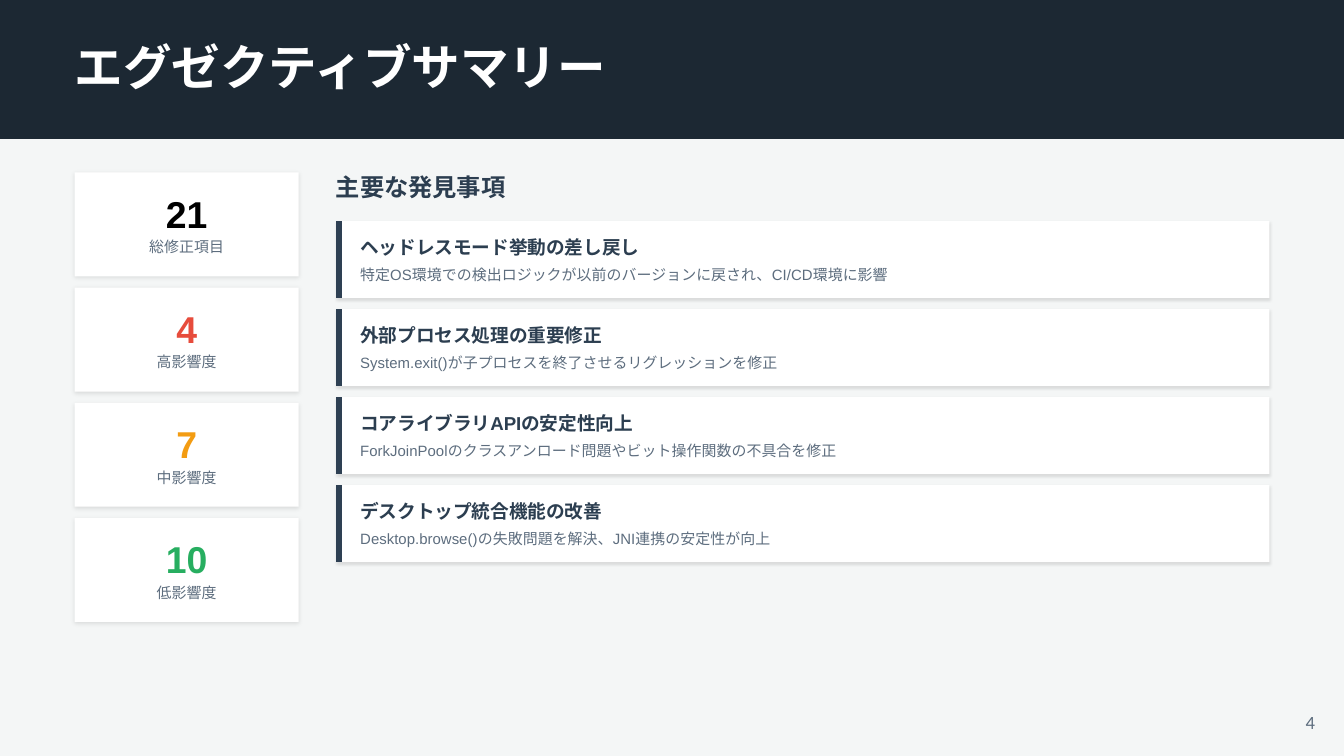
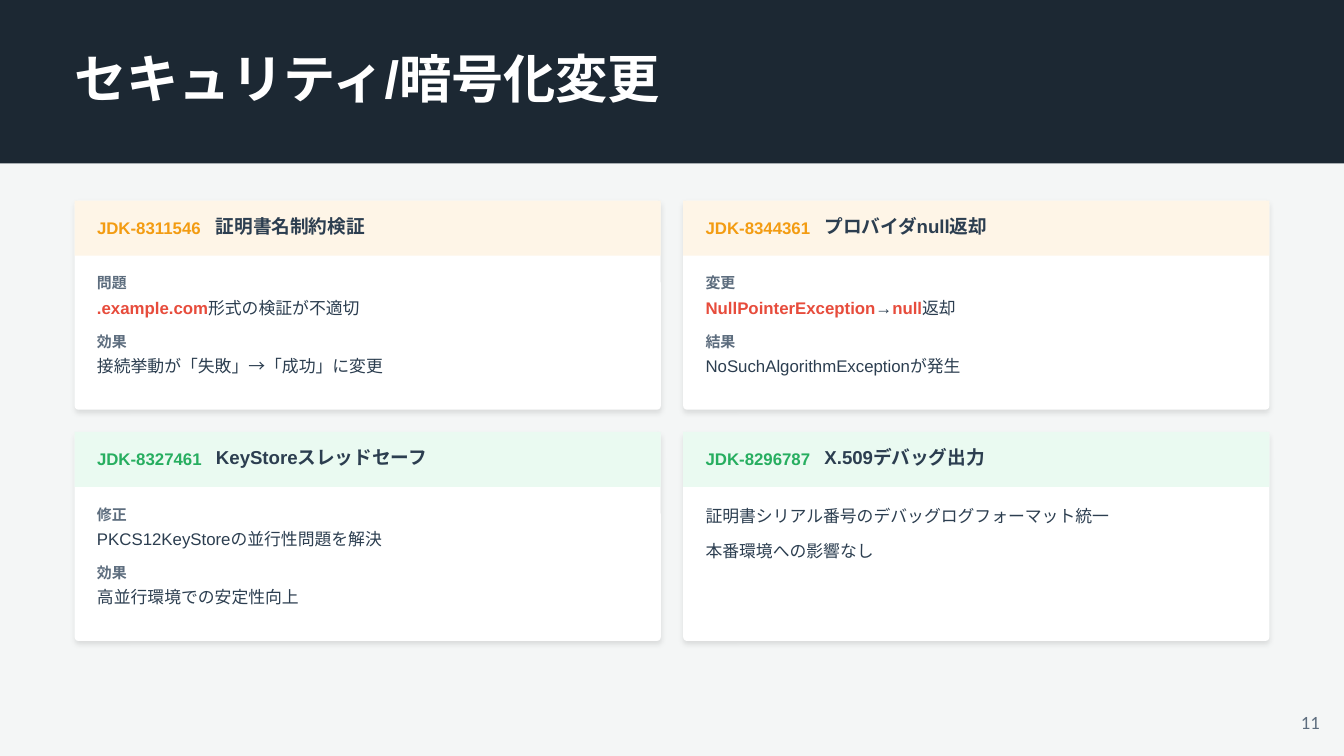
import lxml.etree
import pptx
import pptx.dml.color
import pptx.enum.lang
import pptx.enum.shapes
import pptx.enum.text
import pptx.oxml.ns
import pptx.util

Pt = pptx.util.Pt
SHAPES = pptx.enum.shapes.MSO_SHAPE
CENTER = pptx.enum.text.PP_ALIGN.CENTER

PAPER, NAVY, WHITE, BLACK = "F4F6F6", "1C2833", "FFFFFF", "000000"
INK, GRAY, ACCENT = "2C3E50", "5D6D7E", "2E4053"
RED, ORANGE, GREEN = "E74C3C", "F39C12", "27AE60"
CREAM, MINT = "FEF5E7", "EAFAF1"
MARGIN = 40


def color(value):
    return pptx.dml.color.RGBColor.from_string(value)


class Deck:
    """Holds the shared style and the slide being built."""

    def __init__(self):
        self.presentation = pptx.Presentation()
        self.presentation.slide_width = Pt(720)
        self.presentation.slide_height = Pt(405)
        self.slide = None

    def start(self, title, size, band_height, title_top, number):
        self.slide = self.presentation.slides.add_slide(self.presentation.slide_layouts[6])
        fill = self.slide.background.fill
        fill.solid()
        fill.fore_color.rgb = color(PAPER)
        self.box(0, 0, 720, band_height, NAVY)
        self.text(MARGIN, title_top, 653, size * 1.33, title, size, WHITE, True)
        page = self.text(684, 378, 36, 18, number, 10, GRAY, font="Calibri", align=CENTER)
        page.vertical_anchor = pptx.enum.text.MSO_ANCHOR.MIDDLE

    def box(self, left, top, width, height, fill, shadow=None, radius=None):
        kind = SHAPES.ROUNDED_RECTANGLE if radius else SHAPES.RECTANGLE
        shape = self.slide.shapes.add_shape(kind, Pt(left), Pt(top), Pt(width), Pt(height))
        if radius:
            shape.adjustments[0] = radius
        shape.fill.solid()
        shape.fill.fore_color.rgb = color(fill)
        shape.line.fill.background()
        shape.shadow.inherit = False
        if shadow:
            self.cast_shadow(shape, *shadow)

    def cast_shadow(self, shape, blur, distance):
        name = pptx.oxml.ns.qn
        effects = shape._element.spPr.find(name("a:effectLst"))
        outer = lxml.etree.SubElement(
            effects, name("a:outerShdw"), blurRad=str(int(Pt(blur))),
            dist=str(int(Pt(distance))), dir="5400000", algn="ctr", rotWithShape="0")
        tint = lxml.etree.SubElement(outer, name("a:srgbClr"), val=BLACK)
        lxml.etree.SubElement(tint, name("a:alpha"), val="10000")

    def bar(self, x, top, height):
        connector = self.slide.shapes.add_connector(
            pptx.enum.shapes.MSO_CONNECTOR.STRAIGHT, Pt(x), Pt(top), Pt(x), Pt(top + height))
        connector.line.color.rgb = color(ACCENT)
        connector.line.width = Pt(3)
        lxml.etree.SubElement(connector._element.spPr, pptx.oxml.ns.qn("a:effectLst"))

    def text(self, left, top, width, height, content, size, ink, bold=False,
             font="Arial", align=None, before=None, after=None, spacing=None):
        box = self.slide.shapes.add_textbox(Pt(left), Pt(top), Pt(width), Pt(height))
        frame = box.text_frame
        frame.word_wrap = True
        frame.margin_left = frame.margin_right = frame.margin_top = frame.margin_bottom = 0
        paragraph = frame.paragraphs[0]
        paragraph.alignment = align
        if before:
            paragraph.space_before = Pt(before)
        if after:
            paragraph.space_after = Pt(after)
        if spacing:
            paragraph.line_spacing = Pt(spacing)
        runs = [(content, ink, bold)] if isinstance(content, str) else content
        for words, run_ink, run_bold in runs:
            run = paragraph.add_run()
            run.text = words
            run.font.name = font
            run.font.size = Pt(size)
            run.font.bold = run_bold
            run.font.color.rgb = color(run_ink)
            run.font.language_id = pptx.enum.lang.MSO_LANGUAGE_ID.JAPANESE
        return frame

    def statistic(self, top, value, label, ink):
        self.box(MARGIN, top, 120, 55.7, WHITE, shadow=(2.2, 0.8))
        self.text(49, top + 10, 102, 23, value, 20, ink, True, align=CENTER)
        self.text(49, top + 35, 102, 11, label, 8, GRAY, align=CENTER, before=2)

    def finding(self, top, heading, detail):
        self.box(180, top, 500, 41.1, WHITE, shadow=(1.5, 0.8))
        self.bar(181.5, top, 41.1)
        self.text(193, top + 8, 487, 13.5, heading, 10, INK, True, after=2)
        self.text(193, top + 23.5, 487, 9.6, detail, 8, GRAY, spacing=9.6)

    def change(self, left, top, code, heading, ink, tint, sections):
        self.box(left, top, 314, 112, WHITE, shadow=(3, 1.5), radius=0.018)
        self.box(left, top, 314, 29.5, tint)
        self.text(left + 12, top + 9.2, 57, 11, code, 9, ink, True)
        self.text(left + 75.7, top + 7.7, 231, 13.5, heading, 10, INK, True)
        line_top = top + 39.3
        for label, content in sections:
            if label:
                self.text(left + 12, line_top, 296, 11, label, 8, GRAY, True, after=2)
                line_top += 12.5
            self.text(left + 12, line_top, 296, 10.8, content, 9, INK, spacing=10.8)
            line_top += 18.8


def build_summary(deck):
    deck.start("エグゼクティブサマリー", 26, 74.4, 20, "4")
    statistics = [
        ("21", "総修正項目", BLACK),
        ("4", "高影響度", RED),
        ("7", "中影響度", ORANGE),
        ("10", "低影響度", GREEN),
    ]
    for row, statistic in enumerate(statistics):
        deck.statistic(92.4 + row * 61.7, *statistic)
    deck.text(180, 92.4, 510, 18, "主要な発見事項", 13, INK, True, after=8)
    findings = [
        ("ヘッドレスモード挙動の差し戻し",
         "特定OS環境での検出ロジックが以前のバージョンに戻され、CI/CD環境に影響"),
        ("外部プロセス処理の重要修正",
         "System.exit()が子プロセスを終了させるリグレッションを修正"),
        ("コアライブラリAPIの安定性向上",
         "ForkJoinPoolのクラスアンロード問題やビット操作関数の不具合を修正"),
        ("デスクトップ統合機能の改善",
         "Desktop.browse()の失敗問題を解決、JNI連携の安定性が向上"),
    ]
    for row, finding in enumerate(findings):
        deck.finding(118.5 + row * 47.15, *finding)


def build_security(deck):
    deck.start("セキュリティ/暗号化変更", 28, 87.5, 25, "11")
    changes = [
        ("JDK-8311546", "証明書名制約検証", ORANGE, CREAM, [
            ("問題", [(".example.com", RED, True), ("形式の検証が不適切", INK, False)]),
            ("効果", "接続挙動が「失敗」→「成功」に変更")]),
        ("JDK-8344361", "プロバイダnull返却", ORANGE, CREAM, [
            ("変更", [("NullPointerException", RED, True), ("→", INK, False),
                    ("null", RED, True), ("返却", INK, False)]),
            ("結果", "NoSuchAlgorithmExceptionが発生")]),
        ("JDK-8327461", "KeyStoreスレッドセーフ", GREEN, MINT, [
            ("修正", "PKCS12KeyStoreの並行性問題を解決"),
            ("効果", "高並行環境での安定性向上")]),
        ("JDK-8296787", "X.509デバッグ出力", GREEN, MINT, [
            (None, "証明書シリアル番号のデバッグログフォーマット統一"),
            (None, "本番環境への影響なし")]),
    ]
    for index, change in enumerate(changes):
        row, column = divmod(index, 2)
        deck.change(MARGIN + column * 326, 107.5 + row * 123.9, *change)


def main():
    deck = Deck()
    build_summary(deck)
    build_security(deck)
    deck.presentation.save("out.pptx")


if __name__ == "__main__":
    main()
